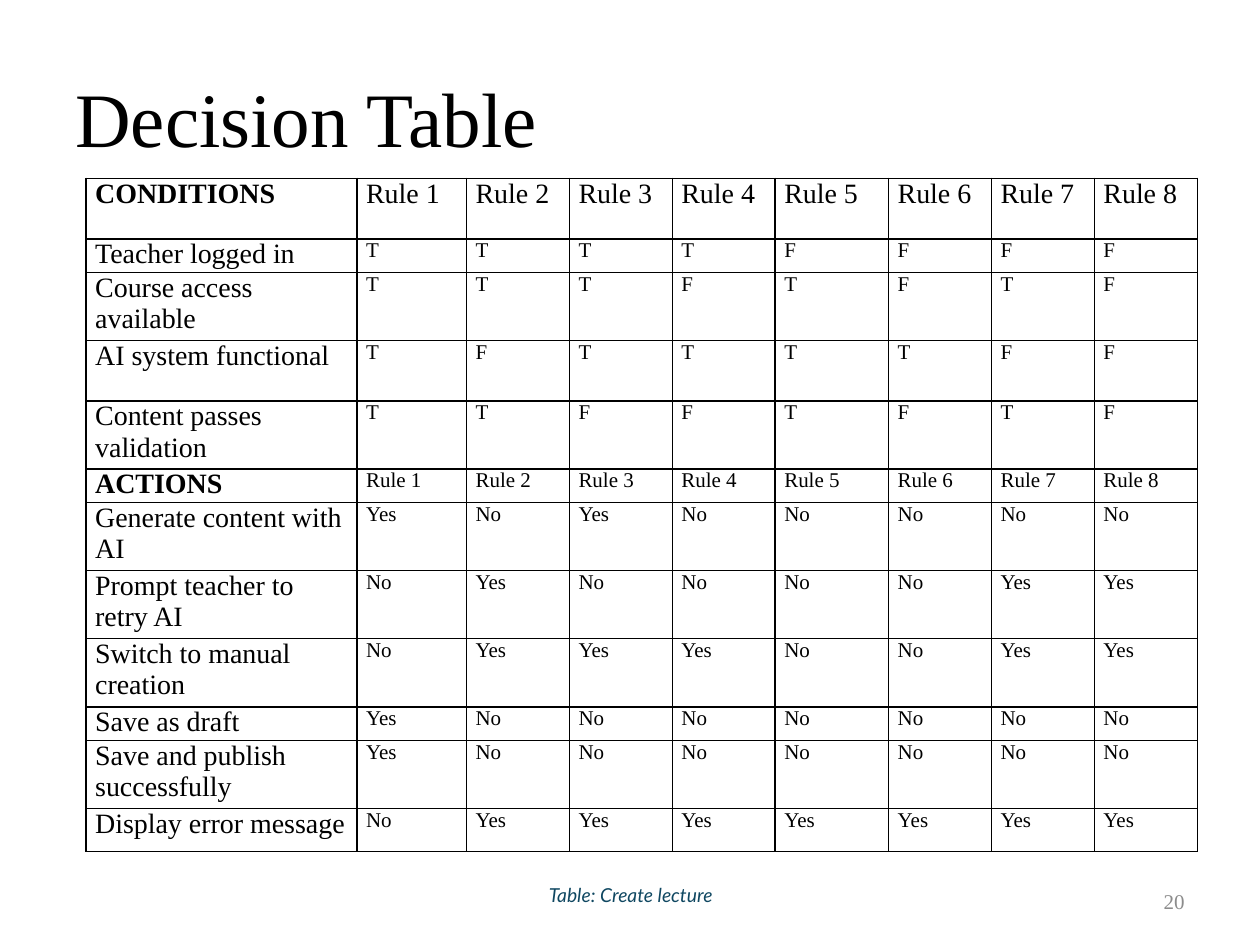
import pptx
import pptx.dml.color
import pptx.enum.text
import pptx.oxml
import pptx.oxml.ns
import pptx.util

Pt = pptx.util.Pt
COLORS = {"text": "000000", "paper": "FFFFFF", "number": "8C8C8C", "caption": "0F4761"}
SERIF = "Times New Roman"

RULES = [f"Rule {number}" for number in range(1, 9)]
ANSWERS = {"T": "T", "F": "F", "Y": "Yes", "N": "No"}

# Label, row height, one letter per rule (None marks a section heading)
DECISIONS = [
    ("CONDITIONS", 34.5, None),
    ("Teacher logged in", 18.8, "TTTTFFFF"),
    ("Course access available", 38.9, "TTTFTFTF"),
    ("AI system functional", 34.5, "TFTTTTFF"),
    ("Content passes validation", 38.9, "TTFFTFTF"),
    ("ACTIONS", 18.8, None),
    ("Generate content with AI", 38.9, "YNYNNNNN"),
    ("Prompt teacher to retry AI", 38.9, "NYNNNNYY"),
    ("Switch to manual creation", 38.9, "NYYYNNYY"),
    ("Save as draft", 18.8, "YNNNNNNN"),
    ("Save and publish successfully", 38.9, "YNNNNNNN"),
    ("Display error message", 24.6, "NYYYYYYY"),
]
COLUMN_WIDTHS = [154.8, 62.6] + [58.8] * 3 + [64.8] + [58.8] * 3


def style(paragraph, size, font=SERIF, color="text", bold=False, italic=False):
    paragraph.font.size = Pt(size)
    paragraph.font.name = font
    paragraph.font.bold = bold
    paragraph.font.italic = italic
    paragraph.font.color.rgb = pptx.dml.color.RGBColor.from_string(COLORS[color])


def add_text(slide, text, left, top, width, height, size,
             anchor=pptx.enum.text.MSO_ANCHOR.MIDDLE, **look):
    box = slide.shapes.add_textbox(Pt(left), Pt(top), Pt(width), Pt(height))
    frame = box.text_frame
    frame.word_wrap = True
    frame.vertical_anchor = anchor
    paragraph = frame.paragraphs[0]
    paragraph.text = text
    style(paragraph, size, **look)
    return paragraph


def add_borders(cell):
    properties = cell._tc.get_or_add_tcPr()
    for position, side in enumerate(("lnL", "lnR", "lnT", "lnB")):
        border = pptx.oxml.parse_xml(
            f'<a:{side} {pptx.oxml.ns.nsdecls("a")} w="{Pt(1)}"><a:solidFill>'
            f'<a:srgbClr val="{COLORS["text"]}"/></a:solidFill></a:{side}>')
        properties.insert(position, border)


def fill_cell(cell, text, size, bold):
    cell.margin_left = cell.margin_right = Pt(5.2)
    cell.margin_top = cell.margin_bottom = 0
    cell.fill.solid()
    cell.fill.fore_color.rgb = pptx.dml.color.RGBColor.from_string(COLORS["paper"])
    add_borders(cell)
    paragraph = cell.text_frame.paragraphs[0]
    paragraph.text = text
    paragraph.space_after = Pt(8)
    style(paragraph, size, bold=bold)


def add_decision_table(slide, left, top):
    heights = [height for _, height, _ in DECISIONS]
    table = slide.shapes.add_table(
        len(heights), len(COLUMN_WIDTHS), Pt(left), Pt(top),
        Pt(sum(COLUMN_WIDTHS)), Pt(sum(heights))).table
    table.first_row = table.horz_banding = False
    for column, width in zip(table.columns, COLUMN_WIDTHS):
        column.width = Pt(width)
    for row_index, (label, height, letters) in enumerate(DECISIONS):
        table.rows[row_index].height = Pt(height)
        entries = [ANSWERS[letter] for letter in letters] if letters else RULES
        for column_index, text in enumerate([label] + entries):
            large = row_index == 0 or column_index == 0
            heading = letters is None and column_index == 0
            fill_cell(table.cell(row_index, column_index), text, 16 if large else 12, heading)


def main():
    presentation = pptx.Presentation()
    presentation.slide_width, presentation.slide_height = Pt(720), Pt(540)
    slide = presentation.slides.add_slide(presentation.slide_layouts[6])

    # Title and page number
    add_text(slide, "Decision Table", 36, 21.6, 648, 90, 44)
    page_number = add_text(slide, "20", 516, 500.5, 168, 28.8, 12, color="number")
    page_number.alignment = pptx.enum.text.PP_ALIGN.RIGHT

    # Decision table
    add_decision_table(slide, 49.2, 102)

    # Caption
    caption = add_text(slide, "Table: Create lecture", 306.5, 500.5, 120.5, 21, 11,
                       anchor=pptx.enum.text.MSO_ANCHOR.TOP,
                       font="Lato", color="caption", italic=True)
    caption.line_spacing = 1.07
    caption.space_before = Pt(8)
    caption.space_after = Pt(4)

    presentation.save("out.pptx")


if __name__ == "__main__":
    main()
